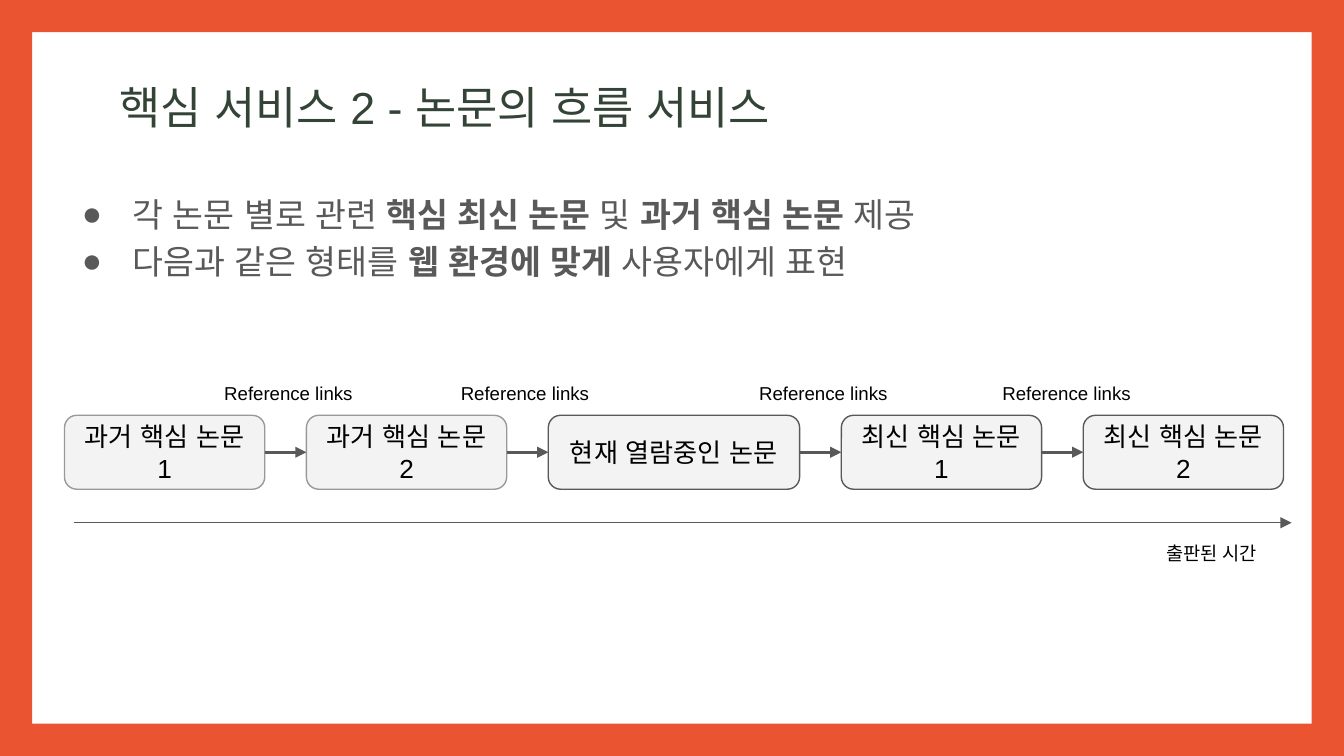
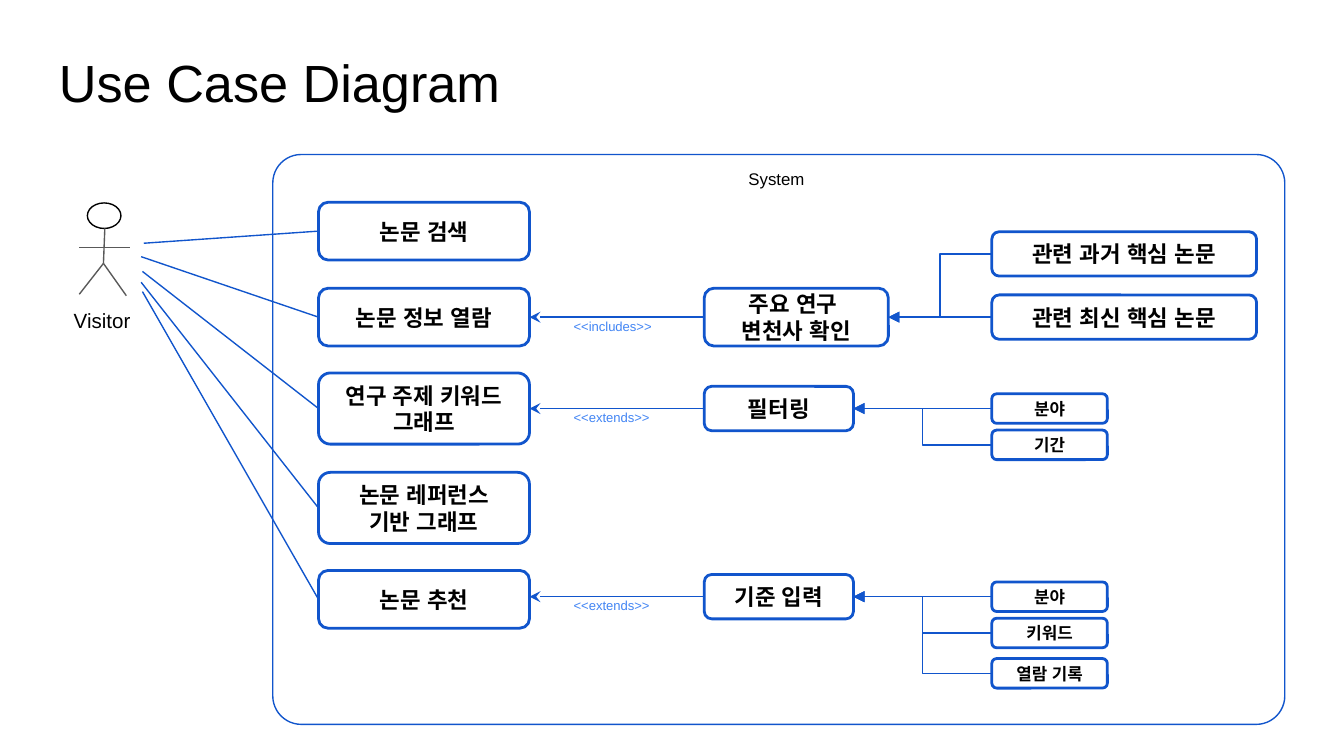
import pptx
import pptx.util
import pptx.dml.color
import pptx.enum.shapes
import pptx.enum.text
import pptx.oxml.ns
from lxml import etree

Inches = pptx.util.Inches
Pt = pptx.util.Pt
qn = pptx.oxml.ns.qn
SHAPE = pptx.enum.shapes.MSO_SHAPE
CONNECTOR = pptx.enum.shapes.MSO_CONNECTOR
ALIGN = pptx.enum.text.PP_ALIGN
ANCHOR = pptx.enum.text.MSO_ANCHOR

COLORS = {
    "frame": "EA5430",
    "title": "334436",
    "black": "000000",
    "gray": "595959",
    "light_gray": "999999",
    "paper": "F3F3F3",
    "blue": "1155CC",
    "link": "4285F4",
}
LATIN, KOREAN = "Arial", "Noto Sans CJK KR"
WIDTH = 10
HEIGHT = WIDTH * 9 / 16
LEFT_SIDE, RIGHT_SIDE = 1, 3

# Slide 1. Bullets are lists of (text, bold).
FLOW_TITLE = "핵심 서비스 2 - 논문의 흐름 서비스"
FLOW_BULLETS = [
    [("각 논문 별로 관련 ", False), ("핵심 최신 논문", True), (" 및 ", False),
     ("과거 핵심 논문", True), (" 제공", False)],
    [("다음과 같은 형태를 ", False), ("웹 환경에 맞게", True),
     (" 사용자에게 표현", False)],
]
PAPERS = [  # text, width, outline
    ("과거 핵심 논문 1", 1.49, "light_gray"),
    ("과거 핵심 논문 2", 1.49, "light_gray"),
    ("현재 열람중인 논문", 1.87, "gray"),
    ("최신 핵심 논문 1", 1.49, "gray"),
    ("최신 핵심 논문 2", 1.49, "gray"),
]
REFERENCE_LABEL = "Reference links"
REFERENCE_LEFTS = [1.57, 3.33, 5.55, 7.36]
TIME_LABEL = "출판된 시간"

# Slide 2. Vertical places are the centres of the boxes.
USE_CASE_TITLE = "Use Case Diagram"
USE_CASES = [  # text, centre, height, start of the visitor's line
    ("논문 검색", 1.72, 0.43, (1.07, 1.81)),
    ("논문 정보 열람", 2.36, 0.43, (1.05, 1.91)),
    ("연구 주제 키워드 그래프", 3.04, 0.53, (1.06, 2.02)),
    ("논문 레퍼런스 기반 그래프", 3.78, 0.53, (1.05, 2.1)),
    ("논문 추천", 4.46, 0.43, (1.06, 2.17)),
]
BRANCHES = [
    {"case": 1, "relation": "<<includes>>", "text": "주요 연구 \n변천사 확인",
     "center": 2.36, "size": (1.37, 0.43), "detail_size": (1.97, 0.33, 12),
     "details": [("관련 과거 핵심 논문", 1.89), ("관련 최신 핵심 논문", 2.36)]},
    {"case": 2, "relation": "<<extends>>", "text": "필터링",
     "center": 3.04, "size": (1.11, 0.33), "detail_size": (0.86, 0.22, 9),
     "details": [("분야", 3.04), ("기간", 3.31)]},
    {"case": 4, "relation": "<<extends>>", "text": "기준 입력",
     "center": 4.44, "size": (1.11, 0.33), "detail_size": (0.86, 0.22, 9),
     "details": [("분야", 4.44), ("키워드", 4.71), ("열람 기록", 5.01)]},
]
CASE_LEFT, CASE_WIDTH = 2.37, 1.57
BRANCH_LEFT, DETAIL_LEFT = 5.24, 7.38
VISITOR_LIMBS = [
    ((0.78, 1.7), (0.77, 1.96)),
    ((0.59, 1.84), (0.97, 1.84)),
    ((0.77, 1.96), (0.94, 2.2)),
    ((0.77, 1.96), (0.59, 2.19)),
]


def rgb(color):
    return pptx.dml.color.RGBColor.from_string(COLORS[color])


def set_font(paragraph, size, color="black", font=LATIN, bold=False):
    paragraph.font.name = font
    paragraph.font.size = Pt(size)
    paragraph.font.bold = bold
    paragraph.font.color.rgb = rgb(color)
    defaults = paragraph._p.pPr.find(qn("a:defRPr"))
    etree.SubElement(defaults, qn("a:ea"), typeface=LATIN)


def prepare_frame(shape, side_inset=0.1):
    frame = shape.text_frame
    frame.word_wrap = True
    frame.margin_left = frame.margin_right = Inches(side_inset)
    frame.margin_top = frame.margin_bottom = Inches(0.1)
    return frame


def add_text(slide, text, box, size, color="black"):
    frame = prepare_frame(slide.shapes.add_textbox(*map(Inches, box)))
    frame.text = text
    set_font(frame.paragraphs[0], size, color)
    return frame


def add_preset(slide, preset, box, fill=None, line=None, weight=0.75):
    shape = slide.shapes.add_shape(preset, *map(Inches, box))
    shape.shadow.inherit = False
    if fill:
        shape.fill.solid()
        shape.fill.fore_color.rgb = rgb(fill)
    else:
        shape.fill.background()
    if line:
        shape.line.color.rgb = rgb(line)
        shape.line.width = Pt(weight)
    else:
        shape.line.fill.background()
    return shape


def add_labelled(slide, text, box, size, fill, line, weight, font, bold,
                 side_inset=0.1):
    shape = add_preset(slide, SHAPE.ROUNDED_RECTANGLE, box, fill, line, weight)
    frame = prepare_frame(shape, side_inset)
    frame.vertical_anchor = ANCHOR.MIDDLE
    frame.text = text
    for paragraph in frame.paragraphs:
        paragraph.alignment = ALIGN.CENTER
        set_font(paragraph, size, font=font, bold=bold)
    return shape


def add_case_box(slide, text, left, center, width, height, size=12):
    return add_labelled(slide, text, (left, center - height / 2, width, height),
                        size, None, "blue", 1.5, KOREAN, True, side_inset=0.12)


def add_line(slide, start, end, color, weight=0.75, head=None, tail=None,
             begin_box=None, end_box=None):
    """Draw a line, bent when it joins two boxes at different heights."""
    bent = begin_box is not None and start[1] != end[1]
    kind = CONNECTOR.ELBOW if bent else CONNECTOR.STRAIGHT
    line = slide.shapes.add_connector(kind, *map(Inches, (*start, *end)))
    if begin_box is not None:
        line.begin_connect(begin_box, RIGHT_SIDE)
    if end_box is not None:
        line.end_connect(end_box, LEFT_SIDE)
    line.line.color.rgb = rgb(color)
    line.line.width = Pt(weight)
    properties = line._element.spPr
    outline = properties.find(qn("a:ln"))
    for tag, arrow in (("a:headEnd", head), ("a:tailEnd", tail)):
        if arrow:
            etree.SubElement(outline, qn(tag), type=arrow)
    etree.SubElement(properties, qn("a:effectLst"))


def add_bullet(paragraph, color, size):
    properties = paragraph._p.get_or_add_pPr()
    properties.set("marL", str(Inches(0.5)))
    properties.set("indent", str(Inches(-0.38)))
    bullet_color = etree.SubElement(properties, qn("a:buClr"))
    etree.SubElement(bullet_color, qn("a:srgbClr"), val=COLORS[color])
    etree.SubElement(properties, qn("a:buSzPts"), val=str(size * 100))
    etree.SubElement(properties, qn("a:buFont"), typeface=LATIN)
    etree.SubElement(properties, qn("a:buChar"), char="●")


def add_page_frame(slide, thickness=0.24):
    for box in [(0, 0, thickness, HEIGHT),
                (WIDTH - thickness, 0, thickness, HEIGHT),
                (0, HEIGHT - thickness, WIDTH, thickness),
                (0, 0, WIDTH, thickness)]:
        add_preset(slide, SHAPE.RECTANGLE, box, "frame")


def build_flow(slide):
    add_page_frame(slide)
    add_text(slide, FLOW_TITLE, (0.79, 0.49, 8.43, 0.63), 24, "title")

    bullets = prepare_frame(slide.shapes.add_textbox(
        *map(Inches, (0.39, 1.3, 7.07, 0.89))))
    for index, pieces in enumerate(FLOW_BULLETS):
        paragraph = bullets.add_paragraph() if index else bullets.paragraphs[0]
        add_bullet(paragraph, "gray", 18)
        paragraph.line_spacing = 1.15
        set_font(paragraph, 18, "gray")
        for text, bold in pieces:
            run = paragraph.add_run()
            run.text = text
            run.font.bold = bold

    left, top, height, gap = 0.48, 3.09, 0.55, 0.31
    middle = top + height / 2
    previous = None
    for text, width, outline in PAPERS:
        paper = add_labelled(slide, text, (left, top, width, height), 14,
                             "paper", outline, 0.75, LATIN, False)
        if previous is not None:
            add_line(slide, (left - gap, middle), (left, middle), "gray", 1.5,
                     tail="triangle", begin_box=previous, end_box=paper)
        previous = paper
        left += width + gap
    for label_left in REFERENCE_LEFTS:
        add_text(slide, REFERENCE_LABEL, (label_left, 2.76, 1.19, 0.37), 10)

    add_line(slide, (0.55, 3.89), (9.61, 3.89), "gray", tail="triangle")
    add_text(slide, TIME_LABEL, (8.58, 3.95, 1.08, 0.37), 10)


def add_visitor(slide):
    add_preset(slide, SHAPE.OVAL, (0.65, 1.51, 0.25, 0.19), line="black")
    for start, end in VISITOR_LIMBS:
        add_line(slide, start, end, "gray")
    add_text(slide, "Visitor", (0.45, 2.2, 0.65, 0.39), 11)


def add_branch(slide, branch, case_box):
    center = branch["center"]
    width, height = branch["size"]
    box = add_case_box(slide, branch["text"], BRANCH_LEFT, center, width, height)
    level = USE_CASES[branch["case"]][1] == center
    add_line(slide, (CASE_LEFT + CASE_WIDTH, center), (BRANCH_LEFT, center),
             "blue", head="stealth", begin_box=case_box if level else None,
             end_box=box)
    add_text(slide, branch["relation"], (4.17, center - 0.05, 0.83, 0.32), 7, "link")

    detail_width, detail_height, size = branch["detail_size"]
    for text, detail_center in branch["details"]:
        detail = add_case_box(slide, text, DETAIL_LEFT, detail_center,
                              detail_width, detail_height, size)
        add_line(slide, (BRANCH_LEFT + width, center), (DETAIL_LEFT, detail_center),
                 "blue", head="triangle", begin_box=box, end_box=detail)


def build_use_cases(slide):
    title = add_text(slide, USE_CASE_TITLE, (0.34, 0.33, 9.32, 0.63), 28)
    title.paragraphs[0].line_spacing = 0.9

    system = add_preset(slide, SHAPE.ROUNDED_RECTANGLE, (2.03, 1.15, 7.53, 4.24),
                        line="blue")
    system.adjustments[0] = 0.05
    add_text(slide, "System", (5.47, 1.18, 0.65, 0.35), 9)

    add_visitor(slide)
    case_boxes = []
    for text, center, height, visitor_point in USE_CASES:
        box = add_case_box(slide, text, CASE_LEFT, center, CASE_WIDTH, height)
        add_line(slide, visitor_point, (CASE_LEFT, center), "blue", end_box=box)
        case_boxes.append(box)
    for branch in BRANCHES:
        add_branch(slide, branch, case_boxes[branch["case"]])


def main():
    deck = pptx.Presentation()
    deck.slide_width, deck.slide_height = Inches(WIDTH), Inches(HEIGHT)
    blank = deck.slide_layouts[6]
    for build in (build_flow, build_use_cases):
        build(deck.slides.add_slide(blank))
    deck.save("out.pptx")


if __name__ == "__main__":
    main()
